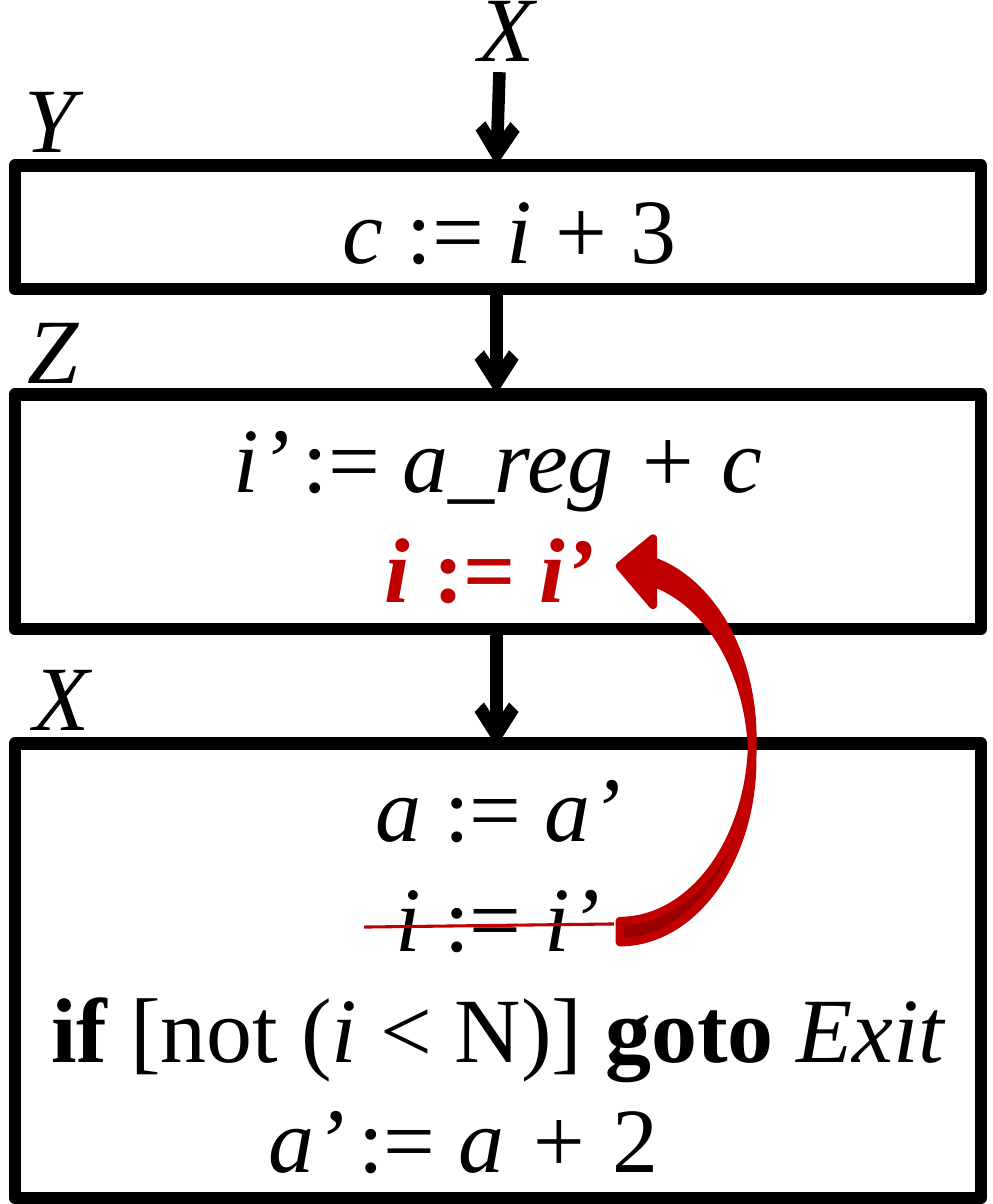
from lxml import etree
from pptx import Presentation
from pptx import util as u
from pptx.dml import color
from pptx.enum import shapes, text
from pptx.oxml import ns

BLACK, RED = "000000", "C00000"
FONT, SIZE, LINE_HEIGHT = "Times New Roman", 22, 26.4
BOX_LEFT, BOX_WIDTH = 0.05, 3.21
CENTER = 1.65


def rgb(hex_value):
    return color.RGBColor.from_string(hex_value)


def write_lines(frame, lines, align):
    """Each line is a list of (words, style); style holds i, b or r for red."""
    frame.margin_left = frame.margin_right = u.Inches(0.05)
    frame.margin_top = frame.margin_bottom = u.Inches(0.02)
    frame.word_wrap = True
    frame.vertical_anchor = text.MSO_ANCHOR.TOP
    for number, line in enumerate(lines):
        paragraph = frame.add_paragraph() if number else frame.paragraphs[0]
        paragraph.alignment = align
        paragraph.line_spacing = u.Pt(LINE_HEIGHT)
        for words, style in line:
            run = paragraph.add_run()
            run.text = words
            run.font.name, run.font.size = FONT, u.Pt(SIZE)
            run.font.italic, run.font.bold = "i" in style, "b" in style
            run.font.color.rgb = rgb(RED if "r" in style else BLACK)


def add_label(slide, left, top, name):
    label = slide.shapes.add_textbox(*map(u.Inches, (left, top, 0.29, 0.41)))
    write_lines(label.text_frame, [[(name, "i")]], text.PP_ALIGN.LEFT)


def add_block(slide, top, height, lines):
    block = slide.shapes.add_shape(
        shapes.MSO_SHAPE.RECTANGLE,
        *map(u.Inches, (BOX_LEFT, top, BOX_WIDTH, height)))
    block.shadow.inherit = False
    block.fill.background()
    block.line.color.rgb, block.line.width = rgb(BLACK), u.Pt(3)
    write_lines(block.text_frame, lines, text.PP_ALIGN.CENTER)
    return block


def add_line(slide, start, end, hex_value, width, arrow=False):
    line = slide.shapes.add_connector(
        shapes.MSO_CONNECTOR.STRAIGHT, *map(u.Inches, start + end))
    line.line.color.rgb, line.line.width = rgb(hex_value), u.Pt(width)
    if arrow:
        etree.SubElement(line.line._get_or_add_ln(), ns.qn("a:tailEnd"), type="arrow")
    etree.SubElement(line._element.spPr, ns.qn("a:effectLst"))


def add_move_arrow(slide, left, top, width, height):
    move = slide.shapes.add_shape(
        shapes.MSO_SHAPE.CURVED_RIGHT_ARROW,
        *map(u.Inches, (left, top, width, height)))
    move.rotation = 180
    move.adjustments[0] = 0.16
    move.shadow.inherit = False
    move.fill.solid()
    move.fill.fore_color.rgb = rgb(RED)
    move.line.color.rgb, move.line.width = rgb(RED), u.Pt(2)


presentation = Presentation()
presentation.slide_width, presentation.slide_height = u.Inches(3.3), u.Inches(4)
slide = presentation.slides.add_slide(presentation.slide_layouts[6])

# Code blocks
add_block(slide, 0.55, 0.41, [
    [(" c ", "i"), (":= ", ""), ("i", "i"), (" + 3", "")]])
add_block(slide, 1.31, 0.78, [
    [("i’ ", "i"), (":= ", ""), ("a_reg + c", "i")],
    [("i", "ibr"), (" := ", "br"), ("i’ ", "ibr")]])
loop_block = add_block(slide, 2.47, 1.51, [
    [("a", "i"), (" := ", ""), ("a’", "i")],
    [("i", "i"), (" := ", ""), ("i’", "i")],
    [("if", "b"), (" [not (", ""), ("i ", "i"), ("< N)] ", ""),
     ("goto ", "b"), ("Exit", "i")],
    [("a’ ", "i"), (":=", ""), (" a + ", "i"), ("2", "")]])
# The last statement sits slightly left of centre
increment = loop_block.text_frame.paragraphs[-1]
increment._p.get_or_add_pPr().set("marR", str(u.Inches(0.23)))

# Block labels
for left, top, name in [(1.54, -0.12, "X"), (0.03, 0.18, "Y"),
                        (0.04, 0.95, "Z"), (0.06, 2.1, "X")]:
    add_label(slide, left, top, name)

# Control flow
for start_x, start_y, end_y in [(1.66, 0.24, 0.55), (CENTER, 0.97, 1.31),
                                (CENTER, 2.1, 2.48)]:
    add_line(slide, (start_x, start_y), (CENTER, end_y), BLACK, 3, arrow=True)

# Moved statement
add_line(slide, (1.21, 3.08), (2.04, 3.07), RED, 0.75)
add_move_arrow(slide, 2.06, 1.77, 0.44, 1.36)

presentation.save("out.pptx")
